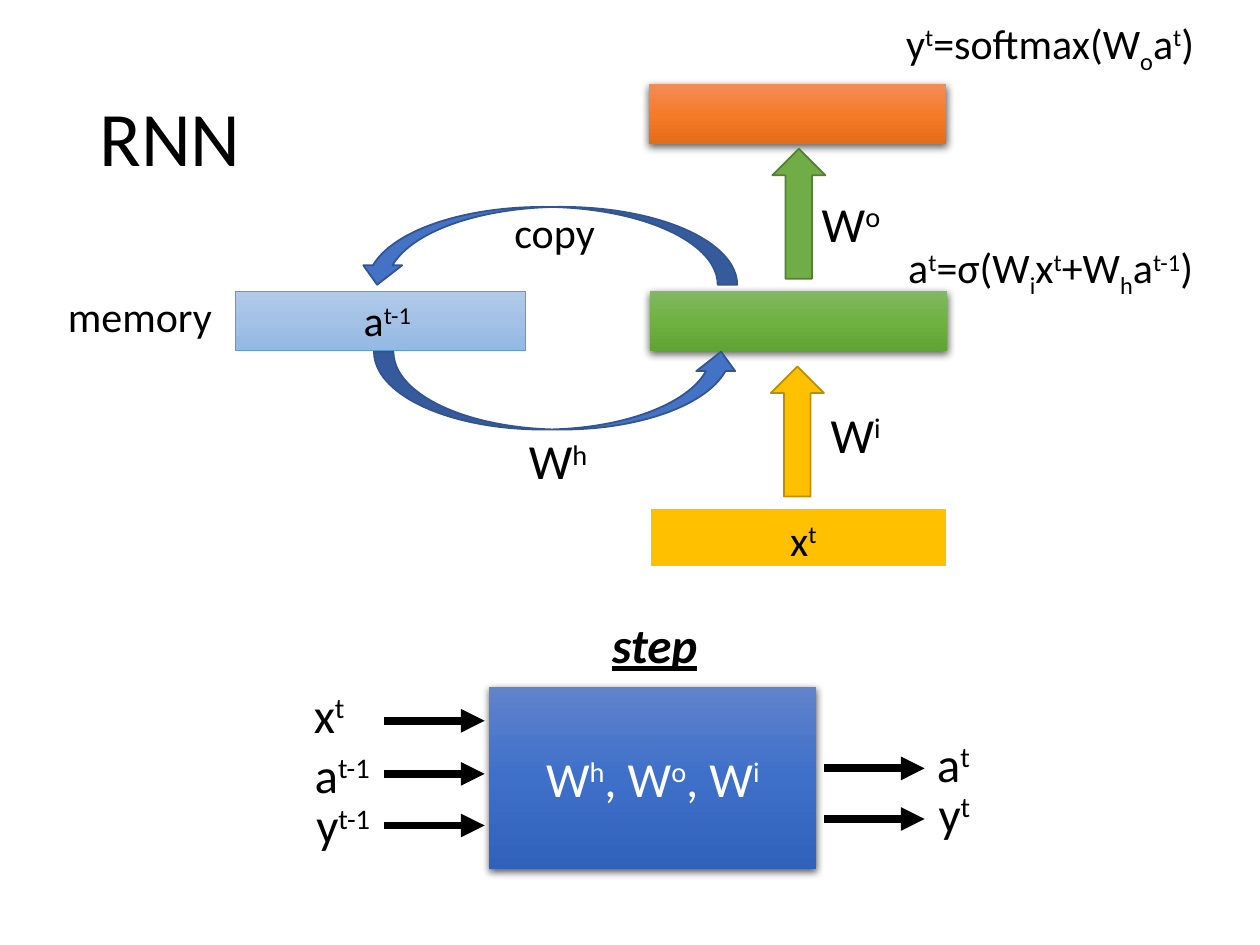
import copy
from dataclasses import dataclass

import pptx
import pptx.dml.color
import pptx.enum.shapes
import pptx.enum.text
import pptx.oxml
import pptx.oxml.ns
import pptx.util

Cm = pptx.util.Cm
Pt = pptx.util.Pt
RGB = pptx.dml.color.RGBColor.from_string
SHAPE = pptx.enum.shapes.MSO_SHAPE
ALIGN = pptx.enum.text.PP_ALIGN
ANCHOR = pptx.enum.text.MSO_ANCHOR
qn = pptx.oxml.ns.qn
NS = pptx.oxml.ns.nsdecls("a")


@dataclass(frozen=True)
class Theme:
    font: str = "Calibri"
    title: int = 44
    large: int = 28
    normal: int = 24
    text: str = "000000"
    light: str = "FFFFFF"
    input: str = "FFC000"
    input_line: str = "BD8E00"
    hidden: str = "70AD47"
    hidden_line: str = "538035"
    loop: str = "4472C4"
    loop_line: str = "325491"
    memory_line: str = "5B9BD5"
    output_grad: tuple = ("F18C57", "F67B28", "E56C19")
    hidden_grad: tuple = ("81B861", "6FB242", "62A336")
    memory_grad: tuple = ("B1CBE9", "A3C1E5", "93B9E4")
    step_grad: tuple = ("6183CB", "3E70CA", "3062BB")


theme = Theme()
BASELINES = {"^": "30000", "_": "-25000"}
SHADOW = (f'<a:effectLst {NS}><a:outerShdw blurRad="57150" dist="19050" dir="5400000" '
          'algn="ctr" rotWithShape="0"><a:srgbClr val="000000"><a:alpha val="63000"/>'
          '</a:srgbClr></a:outerShdw></a:effectLst>')


def write(sp, text, size=theme.normal, color=theme.text, align=ALIGN.CENTER,
          anchor=ANCHOR.TOP, emphasis=None):
    tf = sp.text_frame
    tf.word_wrap = True
    tf.vertical_anchor = anchor
    p = tf.paragraphs[0]
    p.alignment = align
    for part in text.split("|"):
        r = p.add_run()
        r.text = part.lstrip("^_")
        r.font.name = theme.font
        r.font.size = Pt(size)
        r.font.color.rgb = RGB(color)
        r.font.bold = r.font.italic = r.font.underline = emphasis
        if part[0] in BASELINES:
            r._r.get_or_add_rPr().set("baseline", BASELINES[part[0]])
    return p


def add_shape(kind, x, y, w, h, fill, line=None, weight=1, shadow=False):
    sp = s.shapes.add_shape(kind, Cm(x), Cm(y), Cm(w), Cm(h))
    if isinstance(fill, tuple):
        sp.fill.gradient()
        sp.fill.gradient_angle = 270
        stops = sp._element.spPr.find(qn("a:gradFill")).find(qn("a:gsLst"))
        stops.insert(1, copy.deepcopy(stops[0]))
        for i, stop in enumerate(sp.fill.gradient_stops):
            stop.position = i / 2
            stop.color.rgb = RGB(fill[i])
    else:
        sp.fill.solid()
        sp.fill.fore_color.rgb = RGB(fill)
    if line:
        sp.line.color.rgb = RGB(line)
        sp.line.width = Pt(weight)
    else:
        sp.line.fill.background()
    if shadow:
        sp._element.spPr.append(pptx.oxml.parse_xml(SHADOW))
    else:
        sp.shadow.inherit = False
    return sp


prs = pptx.Presentation()
prs.slide_width, prs.slide_height = Cm(25.4), Cm(19.05)
s = prs.slides.add_slide(prs.slide_layouts[5])

title = s.shapes.title
title.left, title.top, title.width, title.height = Cm(1.75), Cm(1.02), Cm(21.89), Cm(3.68)
p = write(title, "RNN", size=theme.title, align=ALIGN.LEFT, anchor=ANCHOR.MIDDLE)
p.line_spacing = 0.9

add_shape(SHAPE.RECTANGLE, 13.09, 10.24, 6, 1.2, theme.input, theme.light, 1.5)
add_shape(SHAPE.RECTANGLE, 13.1, 5.87, 6, 1.2, theme.hidden_grad, shadow=True)
add_shape(SHAPE.RECTANGLE, 4.75, 5.87, 5.84, 1.2, theme.memory_grad, theme.memory_line, 0.5)
add_shape(SHAPE.RECTANGLE, 13.08, 1.7, 6, 1.2, theme.output_grad, shadow=True)
add_shape(SHAPE.UP_ARROW, 15.54, 7.39, 1.07, 2.62, theme.input, theme.input_line)
add_shape(SHAPE.UP_ARROW, 15.57, 3, 1.07, 2.62, theme.hidden, theme.hidden_line)
add_shape(SHAPE.CURVED_UP_ARROW, 7.54, 7.09, 7.39, 1.57, theme.loop, theme.loop_line)
copy_arrow = add_shape(SHAPE.CURVED_UP_ARROW, 7.21, 4.17, 7.65, 1.57,
                       theme.loop, theme.loop_line)
copy_arrow.rotation = 180
step = add_shape(SHAPE.RECTANGLE, 9.86, 13.84, 6.6, 3.68, theme.step_grad, shadow=True)
write(step, "W|^h|, W|^o|, W|^i", size=theme.large, color=theme.light, anchor=ANCHOR.MIDDLE)

labels = [
    ("x|^t", 14.94, 10.24, 2.51, {}),
    ("y|^t|=softmax(W|_o|a|^t|)", 17.32, 0.23, 7.7, {}),
    ("W|^i", 16.36, 8.03, 1.78, {"size": theme.large}),
    ("W|^h", 10.36, 8.56, 1.78, {"size": theme.large}),
    ("W|^o", 16.28, 3.78, 1.75, {"size": theme.large}),
    ("a|^t|=σ(W|_i|x|^t|+W|_h|a|^t-1|)", 17.42, 4.75, 7.52, {}),
    ("memory", 1.12, 5.74, 3.91, {"align": ALIGN.LEFT}),
    ("copy", 9.86, 4.04, 2.64, {}),
    ("a|^t-1", 6.73, 5.82, 2.16, {}),
    ("step", 11.46, 12.27, 3.48, {"size": theme.large, "emphasis": True}),
]
for text, x, y, w, style in labels:
    h = 1.45 if style.get("size") == theme.large else 1.27
    write(s.shapes.add_textbox(Cm(x), Cm(y), Cm(w), Cm(h)), text, **style)

inputs = [("x|^t", 5.38, 13.67, 2.51, 14.53),
          ("a|^t-1", 5.82, 14.88, 2.16, 15.6),
          ("y|^t-1", 5.84, 15.9, 2.16, 16.64)]
outputs = [("a|^t", 18.14, 14.66, 2.16, 15.49),
           ("y|^t", 18.16, 15.67, 2.16, 16.51)]
for start, rows in ((7.74, inputs), (16.61, outputs)):
    group = s.shapes.add_group_shape()
    for text, x, y, w, arrow_y in rows:
        sp = group.shapes.add_textbox(Cm(x), Cm(y), Cm(w), Cm(1.45))
        write(sp, text, size=theme.large)
        line = group.shapes.add_connector(pptx.enum.shapes.MSO_CONNECTOR.STRAIGHT,
                                          Cm(start), Cm(arrow_y), Cm(start + 2.03), Cm(arrow_y))
        line.line.color.rgb = RGB(theme.text)
        line.line.width = Pt(4.5)
        line.line._get_or_add_ln().append(
            pptx.oxml.parse_xml(f'<a:tailEnd {NS} type="triangle"/>'))
        line._element.spPr.append(pptx.oxml.parse_xml(f"<a:effectLst {NS}/>"))

prs.save("out.pptx")
